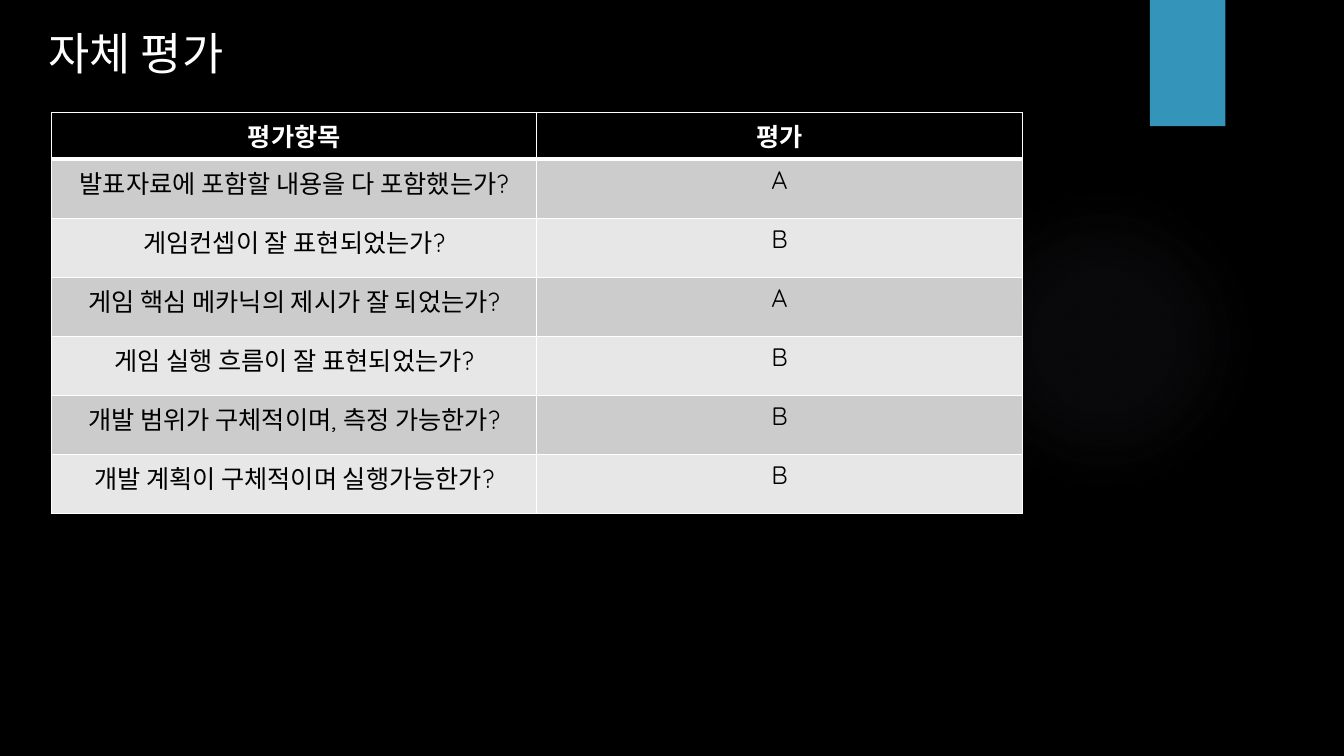
from lxml.etree import SubElement
from pptx import Presentation
from pptx.dml.color import RGBColor
from pptx.enum.shapes import MSO_SHAPE
from pptx.enum.text import MSO_AUTO_SIZE, PP_ALIGN
from pptx.oxml.ns import qn
from pptx.util import Cm, Pt

FONT = "Quicksand"
COLORS = {
    "background": "000000",
    "accent": "3494BA",
    "glow": "7F7B9A",
    "light_text": "FFFFFF",
    "dark_text": "000000",
    "border": "FFFFFF",
    "header": "000000",
    "odd_row": "CCCCCC",
    "even_row": "E7E7E7",
}
GLOW_STOPS = [(0, 7), (36, 6), (69, 0)]  # position and opacity, in percent
HEADINGS = ("평가항목", "평가")
EVALUATIONS = [
    ("발표자료에 포함할 내용을 다 포함했는가?", "A"),
    ("게임컨셉이 잘 표현되었는가?", "B"),
    ("게임 핵심 메카닉의 제시가 잘 되었는가?", "A"),
    ("게임 실행 흐름이 잘 표현되었는가?", "B"),
    ("개발 범위가 구체적이며, 측정 가능한가?", "B"),
    ("개발 계획이 구체적이며 실행가능한가?", "B"),
]


def rgb(name):
    return RGBColor.from_string(COLORS[name])


def style_text(paragraph, size, color, bold=False):
    for run in paragraph.runs:
        run.font.name = FONT
        run.font.size = Pt(size)
        run.font.bold = bold
        run.font.color.rgb = rgb(color)


def add_plain_shape(slide, kind, box):
    shape = slide.shapes.add_shape(kind, *box)
    shape.shadow.inherit = False
    shape.line.fill.background()
    return shape


def add_glow(slide, box):
    """Draw a faint disc that fades out from its centre."""
    glow = add_plain_shape(slide, MSO_SHAPE.OVAL, box)
    glow.fill.gradient()
    gradient = glow.fill._xPr.find(qn("a:gradFill"))
    for child in list(gradient):
        gradient.remove(child)
    stops = SubElement(gradient, qn("a:gsLst"))
    for position, opacity in GLOW_STOPS:
        stop = SubElement(stops, qn("a:gs"), pos=str(position * 1000))
        color = SubElement(stop, qn("a:srgbClr"), val=COLORS["glow"])
        SubElement(color, qn("a:alpha"), val=str(opacity * 1000))
    radial = SubElement(gradient, qn("a:path"), path="circle")
    SubElement(radial, qn("a:fillToRect"), l="50000", t="50000", r="50000", b="50000")


def add_accent_tab(slide, box):
    tab = add_plain_shape(slide, MSO_SHAPE.RECTANGLE, box)
    tab.fill.solid()
    tab.fill.fore_color.rgb = rgb("accent")


def add_title(slide, box):
    frame = slide.shapes.add_textbox(*box).text_frame
    frame.word_wrap = True
    frame.auto_size = MSO_AUTO_SIZE.SHAPE_TO_FIT_TEXT
    frame.text = "자체 평가"
    style_text(frame.paragraphs[0], 32, "light_text")


def set_borders(cell, widths):
    """Add left, right, top and bottom borders; call before filling the cell."""
    properties = cell._tc.get_or_add_tcPr()
    for side, width in zip("LRTB", widths):
        line = SubElement(properties, qn(f"a:ln{side}"), w=str(Pt(width)))
        fill = SubElement(line, qn("a:solidFill"))
        SubElement(fill, qn("a:srgbClr"), val=COLORS["border"])


def add_evaluation_table(slide, box, header_height):
    left, top, width, height = box
    entries = [HEADINGS, *EVALUATIONS]
    table = slide.shapes.add_table(len(entries), len(HEADINGS), *box).table
    for column in table.columns:
        column.width = width // len(HEADINGS)
    for index, entry in enumerate(entries):
        is_header = index == 0
        if is_header:
            fill, color = "header", "light_text"
            table.rows[index].height = header_height
        else:
            fill, color = "odd_row" if index % 2 else "even_row", "dark_text"
            table.rows[index].height = (height - header_height) // len(EVALUATIONS)
        for cell, text in zip(table.rows[index].cells, entry):
            set_borders(cell, (1, 1, 3 if index == 1 else 1, 3 if is_header else 1))
            cell.fill.solid()
            cell.fill.fore_color.rgb = rgb(fill)
            cell.text_frame.text = text
            paragraph = cell.text_frame.paragraphs[0]
            paragraph.alignment = PP_ALIGN.CENTER
            style_text(paragraph, 18, color, bold=is_header)


def build_evaluation_slide(presentation):
    slide = presentation.slides.add_slide(presentation.slide_layouts[6])
    slide.background.fill.solid()
    slide.background.fill.fore_color.rgb = rgb("background")
    add_glow(slide, (Cm(23.9), Cm(4.65), Cm(7.82), Cm(7.82)))
    add_accent_tab(slide, (Cm(28.98), Cm(0), Cm(1.9), Cm(3.18)))
    add_evaluation_table(slide, (Cm(1.3), Cm(2.84), Cm(24.46), Cm(9.84)), Cm(0.92))
    add_title(slide, (Cm(0.97), Cm(0.53), Cm(11.58), Cm(1.63)))


def main():
    presentation = Presentation()
    presentation.slide_width = Cm(33.87)
    presentation.slide_height = Cm(19.05)
    build_evaluation_slide(presentation)
    presentation.save("out.pptx")


if __name__ == "__main__":
    main()
